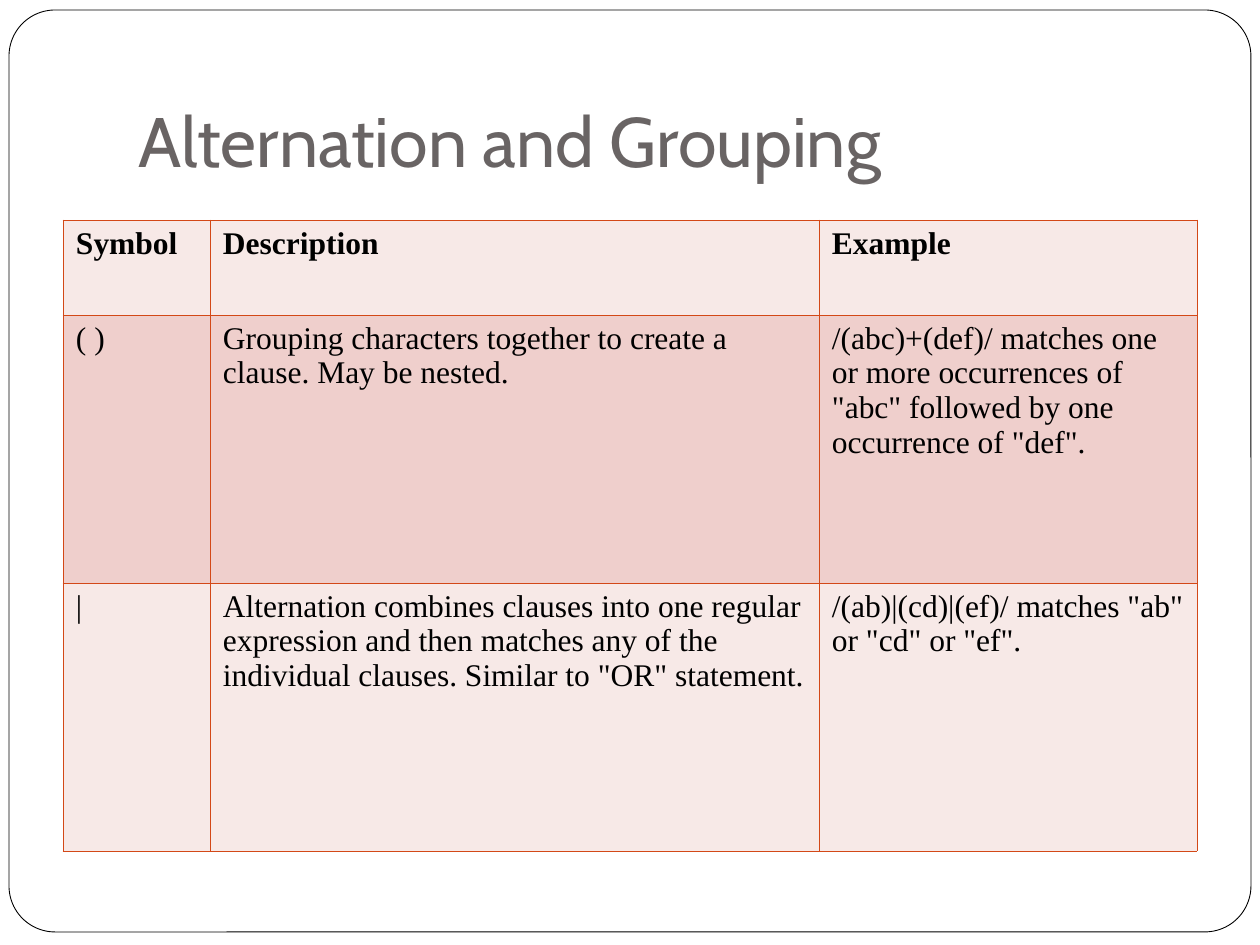
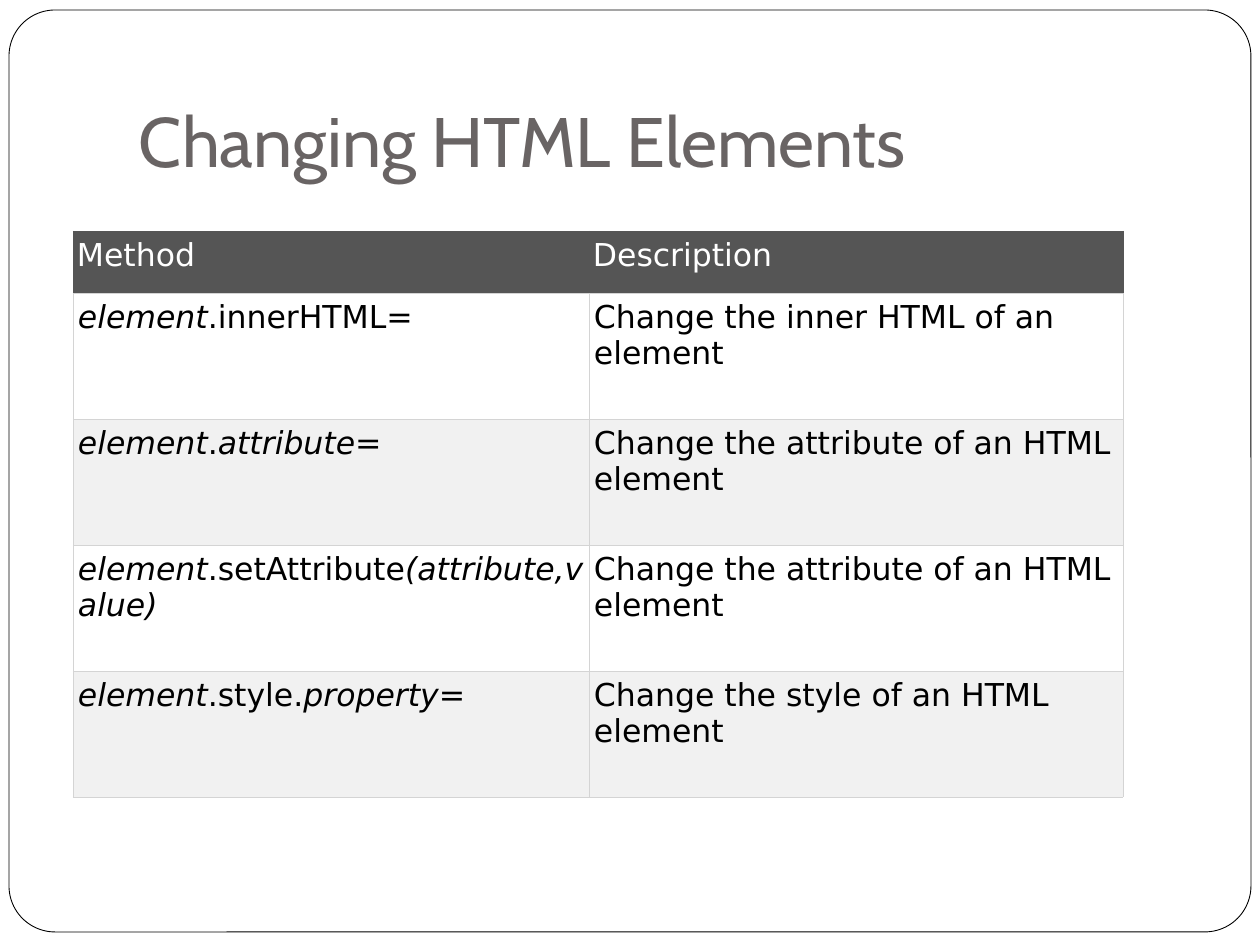
from lxml import etree
from pptx import Presentation
from pptx.dml.color import RGBColor
from pptx.enum.shapes import MSO_SHAPE
from pptx.enum.text import MSO_ANCHOR, MSO_AUTO_SIZE, PP_ALIGN
from pptx.oxml.ns import qn
from pptx.util import Pt

ROUND = MSO_SHAPE.ROUNDED_RECTANGLE
BOTTOM = MSO_ANCHOR.BOTTOM
TOP = MSO_ANCHOR.TOP
LEFT = PP_ALIGN.LEFT
NO_FIT = MSO_AUTO_SIZE.NONE
TITLE_ONLY = 5
SCALE = 914400 / 126

COLORS = {
    "white": "FFFFFF", "black": "000000", "title": "696464",
    "rust": "D34817", "blush": "F7E9E7", "rose": "EFCFCC",
    "dark": "555555", "rule": "D4D4D4", "pale": "F1F1F1",
}


def px(count):
    return round(count * SCALE)


def add_run(para, text, font, size, color, bold=False, italic=False):
    run = para.add_run()
    run.text = text
    run.font.name = font
    run.font.size = Pt(size)
    run.font.bold = bold
    run.font.italic = italic
    run.font.color.rgb = RGBColor.from_string(COLORS[color])


# A cell is a list of (text, italic) runs.
CHANGE = [("Change the attribute of an HTML element", False)]
PAGES = [
    {
        "title": "Alternation and Grouping",
        "at": (63, 220), "cols": [147, 609, 378], "rows": [95, 268, 268],
        "font": "Times New Roman", "bold": True, "ink": "black",
        "fills": ["blush", "rose", "blush"], "pads": (13, 13),
        "rule": "rust", "edge": "rust", "width": 0.45,
        "cells": [
            [[("Symbol", False)], [("Description", False)], [("Example", False)]],
            [[("( )", False)],
             [("Grouping characters together to create a clause. "
               "May be nested.", False)],
             [('/(abc)+(def)/ matches one or more occurrences of "abc" '
               'followed by one occurrence of "def".', False)]],
            [[("|", False)],
             [("Alternation combines clauses into one regular expression and "
               "then matches any of the individual clauses. "
               'Similar to "OR" statement.', False)],
             [('/(ab)|(cd)|(ef)/ matches "ab" or "cd" or "ef".', False)]],
        ],
    },
    {
        "title": "Changing HTML Elements",
        "at": (73, 231), "cols": [516, 534], "rows": [62] + [126] * 4,
        "font": "DejaVu Sans", "bold": False, "ink": "white",
        "fills": ["dark", "white", "pale", "white", "pale"], "pads": (4, 5),
        "rule": "rule", "edge": "dark", "width": 0.28,
        "cells": [
            [[("Method", False)], [("Description", False)]],
            [[("element", True), (".innerHTML=", False)],
             [("Change the inner HTML of an element", False)]],
            [[("element", True), (".", False), ("attribute=", True)], CHANGE],
            [[("element", True), (".setAttribute", False),
              ("(attribute,value)", True)], CHANGE],
            [[("element", True), (".style.", False), ("property=", True)],
             [("Change the style of an HTML element", False)]],
        ],
    },
]

deck = Presentation()
deck.slide_width, deck.slide_height = px(1260), px(945)

for page in PAGES:
    slide = deck.slides.add_slide(deck.slide_layouts[TITLE_ONLY])
    title = slide.shapes.title

    # Rounded frame behind the title
    frame = slide.shapes.add_shape(ROUND, px(9), px(10), px(1242), px(922))
    frame.adjustments[0] = 0.05
    frame.shadow.inherit = False
    frame.fill.solid()
    frame.fill.fore_color.rgb = RGBColor.from_string(COLORS["white"])
    frame.line.color.rgb = RGBColor.from_string(COLORS["black"])
    frame.line.width = Pt(0.5)
    title.element.addprevious(frame.element)

    # Title
    title.left, title.top = px(126), px(38)
    title.width, title.height = px(1071), px(157)
    box = title.text_frame
    box.auto_size = NO_FIT
    box.word_wrap = True
    box.vertical_anchor = BOTTOM
    box.margin_left = box.margin_right = box.margin_bottom = px(13)
    box.margin_top = px(6)
    box.paragraphs[0].alignment = LEFT
    add_run(box.paragraphs[0], page["title"], "Cabin", 40, "title")

    # Table grid
    cols, rows = page["cols"], page["rows"]
    left, top = page["at"]
    table = slide.shapes.add_table(len(rows), len(cols), px(left), px(top),
                                   px(sum(cols)), px(sum(rows))).table
    table.first_row = table.horz_banding = False
    for col, width in zip(table.columns, cols):
        col.width = px(width)
    for row, height in zip(table.rows, rows):
        row.height = px(height)

    # Table cells
    for i, line in enumerate(page["cells"]):
        head = i == 0
        for j, runs in enumerate(line):
            cell = table.cell(i, j)
            cell.vertical_anchor = TOP
            cell.margin_left = cell.margin_right = px(page["pads"][not head])
            cell.margin_top = cell.margin_bottom = px(6)
            cell.fill.solid()
            cell.fill.fore_color.rgb = RGBColor.from_string(
                COLORS[page["fills"][i]])
            for text, slant in runs:
                add_run(cell.text_frame.paragraphs[0], text, page["font"], 18,
                        page["ink"] if head else "black",
                        head and page["bold"], slant)

            # Borders go before the fill
            props = cell._tc.get_or_add_tcPr()
            for k, side in enumerate(("lnL", "lnR", "lnT", "lnB")):
                tone = page["edge" if head and side != "lnB" else "rule"]
                border = etree.Element(qn("a:" + side),
                                       w=str(Pt(page["width"])))
                paint = etree.SubElement(border, qn("a:solidFill"))
                etree.SubElement(paint, qn("a:srgbClr"), val=COLORS[tone])
                props.insert(k, border)

deck.save("out.pptx")
